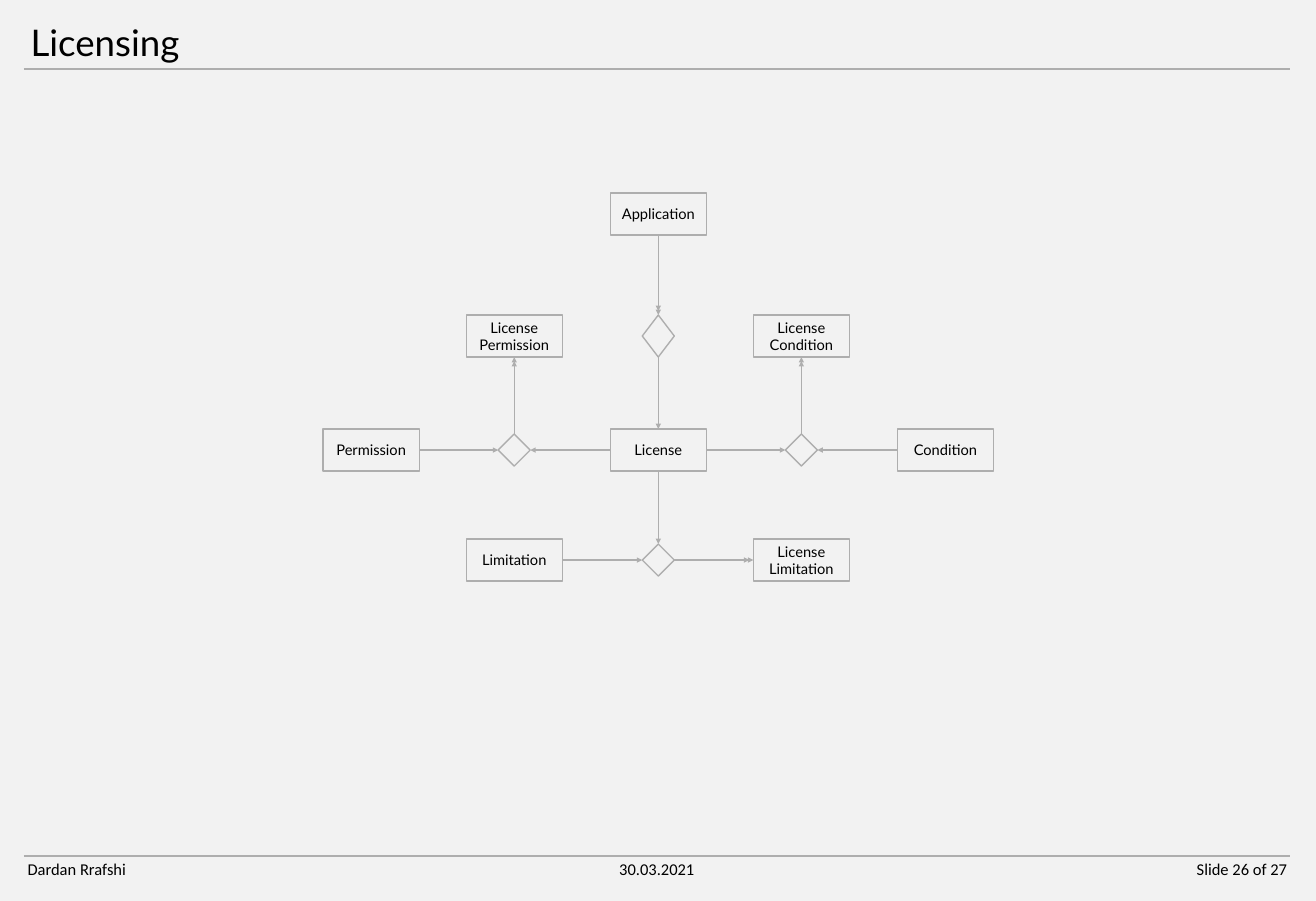
from lxml import etree
from pptx import Presentation
from pptx.dml.color import RGBColor
from pptx.enum.shapes import MSO_CONNECTOR, MSO_SHAPE
from pptx.enum.text import MSO_ANCHOR, MSO_AUTO_SIZE, PP_ALIGN
from pptx.oxml.ns import qn
from pptx.util import Inches, Pt

RECTANGLE, DIAMOND = MSO_SHAPE.RECTANGLE, MSO_SHAPE.DIAMOND
STRAIGHT = MSO_CONNECTOR.STRAIGHT
LEFT, CENTER, RIGHT = PP_ALIGN.LEFT, PP_ALIGN.CENTER, PP_ALIGN.RIGHT
MIDDLE, TOP_ANCHOR = MSO_ANCHOR.MIDDLE, MSO_ANCHOR.TOP
NO_FIT, GROW = MSO_AUTO_SIZE.NONE, MSO_AUTO_SIZE.SHAPE_TO_FIT_TEXT
TOP_SITE, LEFT_SITE, BOTTOM_SITE, RIGHT_SITE = range(4)

EMU_PER_PIXEL = 914400 / 66
GRAY, BLACK, BACKGROUND = "AEAEAE", "000000", "F2F2F2"
COLUMNS = [371 + 287 * i // 2 for i in range(5)]
ROWS = [214, 336, 450, 560]
ENTITY_SIZE = (96, 42)
RELATION_WIDTH = 32
HEAD_GAP = 4

ENTITIES = {
    "application": (2, 0, ["Application"]),
    "license permission": (1, 1, ["License", "Permission"]),
    "license condition": (3, 1, ["License", "Condition"]),
    "permission": (0, 2, ["Permission"]),
    "license": (2, 2, ["License"]),
    "condition": (4, 2, ["Condition"]),
    "limitation": (1, 3, ["Limitation"]),
    "license limitation": (3, 3, ["License", "Limitation"]),
}
RELATIONS = {
    "licensing": (2, 1, 42),
    "permitting": (1, 2, 32),
    "conditioning": (3, 2, 32),
    "limiting": (2, 3, 32),
}
SINGLE_ARROWS = [
    ("licensing", BOTTOM_SITE, "license", TOP_SITE),
    ("license", LEFT_SITE, "permitting", RIGHT_SITE),
    ("permission", RIGHT_SITE, "permitting", LEFT_SITE),
    ("license", RIGHT_SITE, "conditioning", LEFT_SITE),
    ("condition", LEFT_SITE, "conditioning", RIGHT_SITE),
    ("license", BOTTOM_SITE, "limiting", TOP_SITE),
    ("limitation", RIGHT_SITE, "limiting", LEFT_SITE),
]
DOUBLE_ARROWS = [
    ("application", BOTTOM_SITE, "licensing", TOP_SITE),
    ("permitting", TOP_SITE, "license permission", BOTTOM_SITE),
    ("conditioning", TOP_SITE, "license condition", BOTTOM_SITE),
    ("limiting", RIGHT_SITE, "license limitation", LEFT_SITE),
]
FOOTER = [("Dardan Rrafshi", LEFT), ("30.03.2021", CENTER), ("Slide 26 of 27", RIGHT)]


def px(pixels):
    """Turn pixels into EMU."""
    return round(pixels * EMU_PER_PIXEL)


def color(hex_value):
    """Turn a hex string into a colour."""
    return RGBColor.from_string(hex_value)


def write(frame, lines, size, font, align, anchor):
    """Fill a text frame with one paragraph per line."""
    frame.word_wrap = True
    frame.vertical_anchor = anchor
    for number, line in enumerate(lines):
        paragraph = frame.add_paragraph() if number else frame.paragraphs[0]
        paragraph.alignment = align
        run = paragraph.add_run()
        run.text = line
        run.font.size = Pt(size)
        run.font.name = font
        run.font.color.rgb = color(BLACK)


def add_node(slide, kind, column, row, width, height):
    """Add an outlined shape centred on a grid point."""
    left, top = COLUMNS[column] - width // 2, ROWS[row] - height // 2
    node = slide.shapes.add_shape(kind, px(left), px(top), px(width), px(height))
    node.shadow.inherit = False
    node.fill.background()
    node.line.color.rgb = color(GRAY)
    node.line.width = Pt(1.5)
    return node


def add_line(slide, start, end, width):
    """Add a straight gray line between two pixel points."""
    line = slide.shapes.add_connector(STRAIGHT, *map(px, start + end))
    line.line.color.rgb = color(GRAY)
    line.line.width = Pt(width)
    etree.SubElement(line._element.spPr, qn("a:effectLst"))
    return line


def site_point(node, site):
    """Give the pixel point of a connection site."""
    across, down = [(0.5, 0), (0, 0.5), (0.5, 1), (1, 0.5)][site]
    return (round((node.left + node.width * across) / EMU_PER_PIXEL),
            round((node.top + node.height * down) / EMU_PER_PIXEL))


def add_arrow(slide, source, source_site, target, target_site, gap=0):
    """Add an arrow between two nodes, ending a gap before the target."""
    x, y = site_point(target, target_site)
    step_x, step_y = [(0, -1), (-1, 0), (0, 1), (1, 0)][target_site]
    end = (x + gap * step_x, y + gap * step_y)
    arrow = add_line(slide, site_point(source, source_site), end, 1.5)
    arrow.begin_connect(source, source_site)
    if not gap:
        arrow.end_connect(target, target_site)
    outline = arrow.line._get_or_add_ln()
    etree.SubElement(outline, qn("a:tailEnd"), type="triangle")


def add_title(slide, text):
    """Place and format the slide title."""
    title = slide.shapes.title
    title.left, title.top, title.width, title.height = map(px, (24, 21, 1265, 48))
    write(title.text_frame, [text], 40, "Lato", LEFT, MIDDLE)
    title.text_frame.auto_size = NO_FIT
    title.text_frame.paragraphs[0].line_spacing = 0.9


def add_footer(slide):
    """Add the three evenly spread footer texts."""
    for number, (text, align) in enumerate(FOOTER):
        left = 21 + 1155 * number // 2
        box = slide.shapes.add_textbox(px(left), px(856), px(117), px(26))
        write(box.text_frame, [text], 18, "Calibri", align, TOP_ANCHOR)
        box.text_frame.auto_size = GROW


def add_diagram(slide):
    """Add the entities, their relations and the arrows."""
    nodes = {}
    for key, (column, row, lines) in ENTITIES.items():
        nodes[key] = add_node(slide, RECTANGLE, column, row, *ENTITY_SIZE)
        write(nodes[key].text_frame, lines, 16, "Lato", CENTER, MIDDLE)
    for key, (column, row, height) in RELATIONS.items():
        nodes[key] = add_node(slide, DIAMOND, column, row, RELATION_WIDTH, height)
    for source, source_site, target, target_site in SINGLE_ARROWS + DOUBLE_ARROWS:
        add_arrow(slide, nodes[source], source_site, nodes[target], target_site)
    for source, source_site, target, target_site in DOUBLE_ARROWS:
        add_arrow(slide, nodes[source], source_site, nodes[target], target_site, HEAD_GAP)


def main():
    """Build and save the licensing slide."""
    deck = Presentation()
    deck.slide_width, deck.slide_height = Inches(19.93), Inches(13.65)
    slide = deck.slides.add_slide(deck.slide_layouts[5])
    slide.background.fill.solid()
    slide.background.fill.fore_color.rgb = color(BACKGROUND)
    add_diagram(slide)
    add_title(slide, "Licensing")
    for rule_y in (69, 856):
        add_line(slide, (24, rule_y), (1289, rule_y), 2.25)
    add_footer(slide)
    deck.save("out.pptx")


main()
